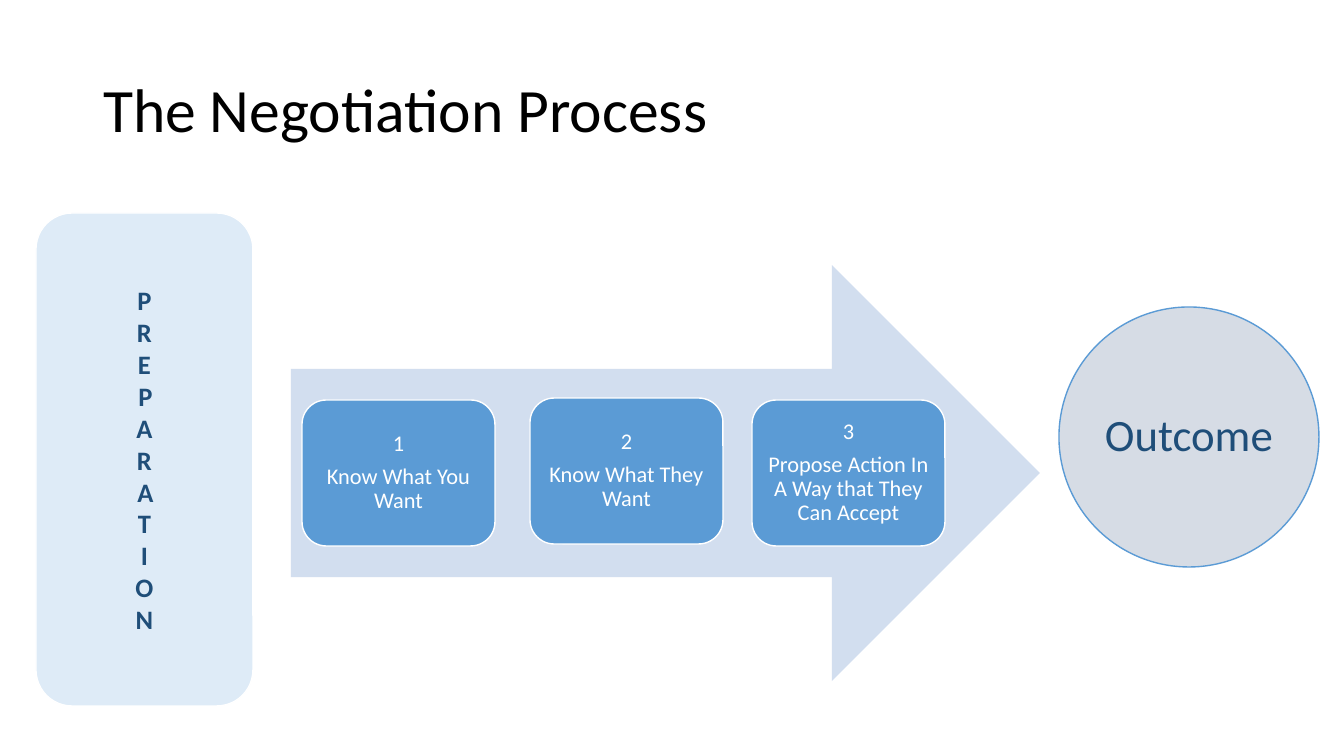
import pptx
import pptx.util
import pptx.dml.color
import pptx.enum.shapes
import pptx.enum.text

RGB = pptx.dml.color.RGBColor
BLACK = RGB(0x00, 0x00, 0x00)
WHITE = RGB(0xFF, 0xFF, 0xFF)
NAVY = RGB(0x1F, 0x4E, 0x79)
BLUE = RGB(0x5B, 0x9B, 0xD5)
ARROW_BLUE = RGB(0xD2, 0xDE, 0xEF)
PANEL_BLUE = RGB(0xDE, 0xEB, 0xF7)
OUTCOME_GREY = RGB(0xD6, 0xDC, 0xE5)

PX = 914400 / 100.8
SHAPE = pptx.enum.shapes.MSO_SHAPE
ALIGN = pptx.enum.text.PP_ALIGN
MIDDLE = pptx.enum.text.MSO_ANCHOR.MIDDLE


def write(frame, text, size, color, align=ALIGN.CENTER, spacing=0.9, after=0, bold=False):
    """Fill a text frame and format all its paragraphs alike."""
    frame.text = text
    frame.word_wrap = True
    frame.vertical_anchor = MIDDLE
    for paragraph in frame.paragraphs:
        paragraph.alignment = align
        paragraph.line_spacing = spacing
        paragraph.space_before = pptx.util.Pt(0)
        paragraph.space_after = pptx.util.Pt(after)
        for run in paragraph.runs:
            run.font.name = "Calibri"
            run.font.size = pptx.util.Pt(size)
            run.font.bold = bold
            run.font.color.rgb = color


def add_block(kind, box, fill, outline=None):
    """Add a flat preset shape at a pixel box (left, top, width, height)."""
    block = slide.shapes.add_shape(kind, *(round(value * PX) for value in box))
    block.shadow.inherit = False
    block.fill.solid()
    block.fill.fore_color.rgb = fill
    if outline is None:
        block.line.fill.background()
    else:
        block.line.color.rgb = outline
        block.line.width = pptx.util.Pt(1)
    frame = block.text_frame
    frame.margin_left = frame.margin_right = round(7 * PX)
    frame.margin_top = frame.margin_bottom = round(7 * PX)
    return block


deck = pptx.Presentation()
deck.slide_width = round(1344 * PX)
deck.slide_height = round(756 * PX)
slide = deck.slides.add_slide(deck.slide_layouts[5])

title = slide.shapes.title
title.left, title.top, title.width, title.height = (
    round(value * PX) for value in (93, 40, 1159, 146))
write(title.text_frame, "The Negotiation Process", 44, BLACK, align=ALIGN.LEFT)

add_block(SHAPE.RIGHT_ARROW, (291, 265, 749, 416), ARROW_BLUE)

steps = [
    (302, 400, "Know What You Want"),
    (530, 398, "Know What They Want"),
    (752, 400, "Propose Action In A Way that They Can Accept"),
]
for number, (left, top, action) in enumerate(steps, start=1):
    step = add_block(SHAPE.ROUNDED_RECTANGLE, (left, top, 193, 146), BLUE, WHITE)
    write(step.text_frame, f"{number}\n{action}", 16, WHITE, after=6)

preparation = add_block(SHAPE.ROUNDED_RECTANGLE, (36, 213, 217, 493), PANEL_BLUE, WHITE)
write(preparation.text_frame, "PREPARATION", 19, NAVY, spacing=1.0, bold=True)
preparation.text_frame._txBody.bodyPr.set("vert", "wordArtVert")

outcome = add_block(SHAPE.OVAL, (1059, 307, 260, 260), OUTCOME_GREY, BLUE)
write(outcome.text_frame, "Outcome", 32, NAVY)

deck.save("out.pptx")
